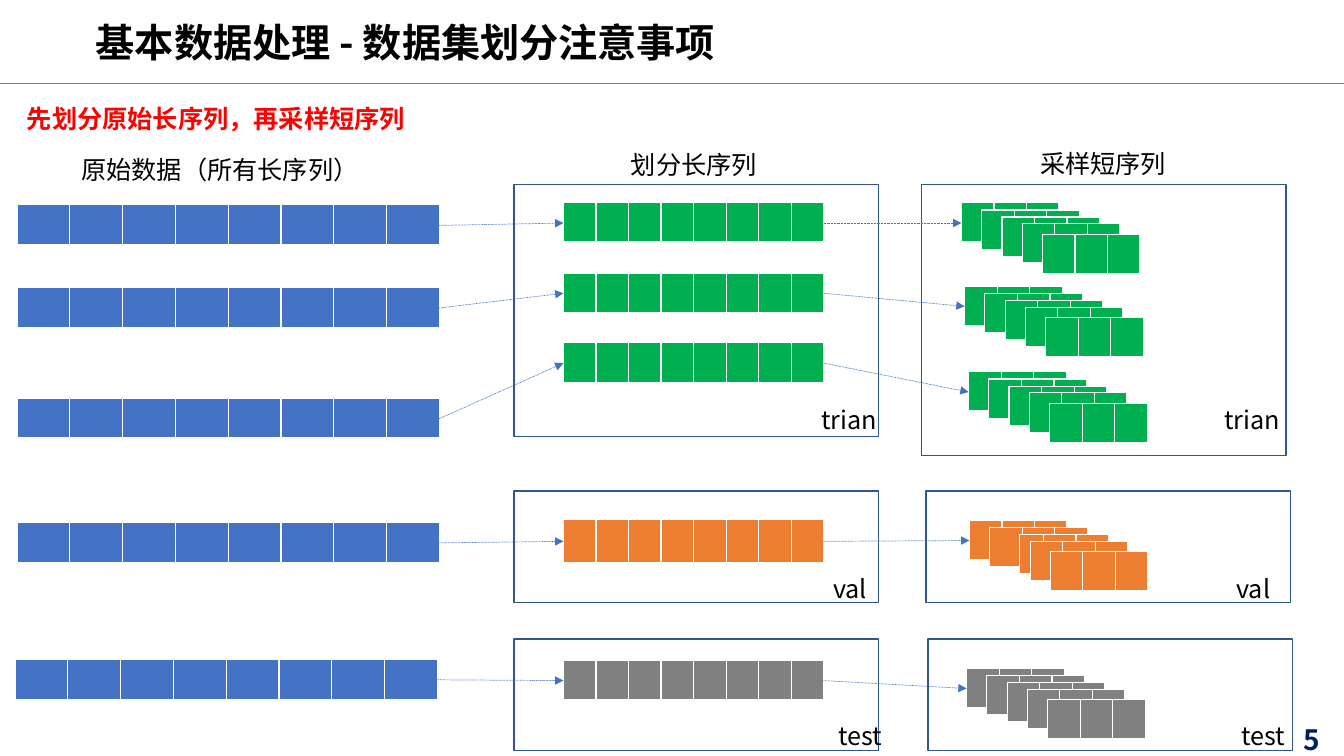
from lxml.etree import SubElement
from pptx import Presentation
from pptx.dml.color import RGBColor
from pptx.enum.dml import MSO_LINE
from pptx.enum.shapes import MSO_CONNECTOR, MSO_SHAPE
from pptx.enum.text import MSO_ANCHOR, MSO_AUTO_SIZE, PP_ALIGN
from pptx.oxml.ns import qn
from pptx.util import Cm, Pt

FONT = "Noto Sans CJK SC"
BLACK = RGBColor(0x00, 0x00, 0x00)
WHITE = RGBColor(0xFF, 0xFF, 0xFF)
RED = RGBColor(0xFF, 0x00, 0x00)
NAVY = RGBColor(0x00, 0x20, 0x60)
BLUE = RGBColor(0x44, 0x72, 0xC4)
FRAME_BLUE = RGBColor(0x32, 0x54, 0x91)
GREEN = RGBColor(0x00, 0xB0, 0x50)
ORANGE = RGBColor(0xED, 0x7D, 0x31)
GRAY = RGBColor(0x80, 0x80, 0x80)

LONG_CELLS = 8
RAW_CELL, SPLIT_CELL = 1.33, 0.82
RAW_HEIGHT, ROW_HEIGHT = 1.04, 1.02
SPLIT_X = 14.2
SAMPLE_STEP_X = 0.51
SAMPLE_DROPS = (0, 0.18, 0.36, 0.53, 0.79)
BORDERS = {"lnL": 1, "lnR": 1, "lnT": 1, "lnB": 3}

# raw x, raw y, split y, split height, sample x, sample y, colour, {sample: cut off first cell}
SEQUENCES = [
    (0.43, 5.16, 5.11, ROW_HEIGHT, 24.23, 5.11, GREEN, {}),
    (0.43, 7.24, 6.88, ROW_HEIGHT, 24.31, 7.21, GREEN, {}),
    (0.43, 10.03, 8.64, ROW_HEIGHT, 24.41, 9.37, GREEN, {}),
    (0.43, 13.16, 13.08, 1.12, 24.43, 13.11, ORANGE, {2: 0.24}),
    (0.38, 16.61, 16.64, ROW_HEIGHT, 24.36, 16.84, GRAY, {}),
]

# top, split frame height, sample frame x, sample frame height, label, label x, label y, label width
SUBSETS = [
    (4.65, 6.35, 23.22, 6.83, "trian", 20.45, 10.06, 1.93),
    (12.37, 2.82, 23.34, 2.82, "val", 20.75, 14.33, 1.37),
    (16.1, 2.82, 23.39, 2.82, "test", 20.88, 18.03, 1.65),
]
FRAME_X, FRAME_WIDTH = 12.95, 9.19
LABEL_SHIFT = 10.16

CAPTIONS = [
    ("先划分原始长序列，再采样短序列", 0.43, 2.49, 10.13, {"color": RED, "bold": True}),
    ("原始数据（所有长序列）", 1.8, 3.76, 7.85, {}),
    ("划分长序列", 15.65, 3.63, 3.71, {}),
    ("采样短序列", 25.96, 3.61, 3.71, {}),
    ("5", 32.59, 18.08, 1.37, {"color": NAVY, "bold": True, "size": Pt(20)}),
]


def write(tf, text, color=BLACK, **formats):
    p = tf.paragraphs[0]
    p.alignment = PP_ALIGN.LEFT
    r = p.add_run()
    r.text = text
    for name, value in {"name": FONT, "size": Pt(18), "bold": False, **formats}.items():
        setattr(r.font, name, value)
    r.font.color.rgb = color
    SubElement(r.font._element, qn("a:ea"), typeface=FONT)


def add_title(s, text):
    sp = s.shapes.title
    box = {"left": Cm(2.16), "top": Cm(0.33), "width": Cm(31), "height": Cm(1.45)}
    for name, value in box.items():
        setattr(sp, name, value)
    tf = sp.text_frame
    tf.auto_size = MSO_AUTO_SIZE.NONE
    tf.vertical_anchor = MSO_ANCHOR.MIDDLE
    write(tf, text, size=Pt(28), bold=True)


def add_label(s, text, x, y, width, **formats):
    sp = s.shapes.add_textbox(Cm(x), Cm(y), Cm(width), Cm(1.02))
    sp.text_frame.word_wrap = False
    write(sp.text_frame, text, **formats)


def add_frame(s, x, y, height):
    sp = s.shapes.add_shape(MSO_SHAPE.RECTANGLE, Cm(x), Cm(y), Cm(FRAME_WIDTH), Cm(height))
    sp.shadow.inherit = False
    sp.fill.background()
    sp.line.color.rgb = FRAME_BLUE
    sp.line.width = Pt(1)


def format_cell(cell, color):
    """Fill the cell and give it white borders, the bottom one thicker."""
    cell.margin_top = cell.margin_bottom = 0
    tcPr = cell._tc.get_or_add_tcPr()
    for tag, width in BORDERS.items():
        ln = SubElement(tcPr, qn(f"a:{tag}"), w=str(Pt(width)))
        fill = SubElement(ln, qn("a:solidFill"))
        SubElement(fill, qn("a:srgbClr"), val=str(WHITE))
    cell.fill.solid()
    cell.fill.fore_color.rgb = color


def add_sequence(s, x, y, widths, height, color):
    """Draw a sequence as a one-row table."""
    frame = s.shapes.add_table(1, len(widths), Cm(x), Cm(y), Cm(sum(widths)), Cm(height))
    table = frame.table
    table.first_row = table.horz_banding = False
    for column, width in zip(table.columns, widths):
        column.width = Cm(width)
    for cell in table.iter_cells():
        format_cell(cell, color)


def add_samples(s, x, y, color, cuts):
    """Stack short sequences, each stepping right and down."""
    for i, drop in enumerate(SAMPLE_DROPS):
        cut = cuts.get(i, 0)
        widths = [SPLIT_CELL - cut, SPLIT_CELL, SPLIT_CELL]
        add_sequence(s, x + i * SAMPLE_STEP_X + cut, y + drop, widths, ROW_HEIGHT, color)


def add_line(s, start, end, color, width):
    line = s.shapes.add_connector(MSO_CONNECTOR.STRAIGHT, *map(Cm, start + end))
    line.line.color.rgb = color
    line.line.width = Pt(width)
    SubElement(line._element.spPr, qn("a:effectLst"))
    return line


def add_arrow(s, start, end):
    arrow = add_line(s, start, end, BLUE, 0.5)
    arrow.line.dash_style = MSO_LINE.ROUND_DOT
    SubElement(arrow.line._get_or_add_ln(), qn("a:tailEnd"), type="triangle")


def main():
    prs = Presentation()
    prs.slide_width, prs.slide_height = Cm(33.87), Cm(19.05)
    s = prs.slides.add_slide(prs.slide_layouts[5])

    add_line(s, (0, 2.11), (33.87, 2.11), GRAY, 0.75)
    add_title(s, "基本数据处理 - 数据集划分注意事项")
    for text, x, y, width, formats in CAPTIONS:
        add_label(s, text, x, y, width, **formats)

    for top, split_h, sample_x, sample_h, text, x, y, width in SUBSETS:
        add_frame(s, FRAME_X, top, split_h)
        add_frame(s, sample_x, top, sample_h)
        for shift in (0, LABEL_SHIFT):
            add_label(s, text, x + shift, y, width)

    for raw_x, raw_y, split_y, split_h, sample_x, sample_y, color, cuts in SEQUENCES:
        add_sequence(s, raw_x, raw_y, [RAW_CELL] * LONG_CELLS, RAW_HEIGHT, BLUE)
        add_sequence(s, SPLIT_X, split_y, [SPLIT_CELL] * LONG_CELLS, split_h, color)
        add_samples(s, sample_x, sample_y, color, cuts)
        raw_end = (raw_x + RAW_CELL * LONG_CELLS, raw_y + RAW_HEIGHT / 2)
        split_mid = split_y + split_h / 2
        add_arrow(s, raw_end, (SPLIT_X, split_mid))
        split_end = (SPLIT_X + SPLIT_CELL * LONG_CELLS, split_mid)
        add_arrow(s, split_end, (sample_x, sample_y + ROW_HEIGHT / 2))

    prs.save("out.pptx")


if __name__ == "__main__":
    main()
